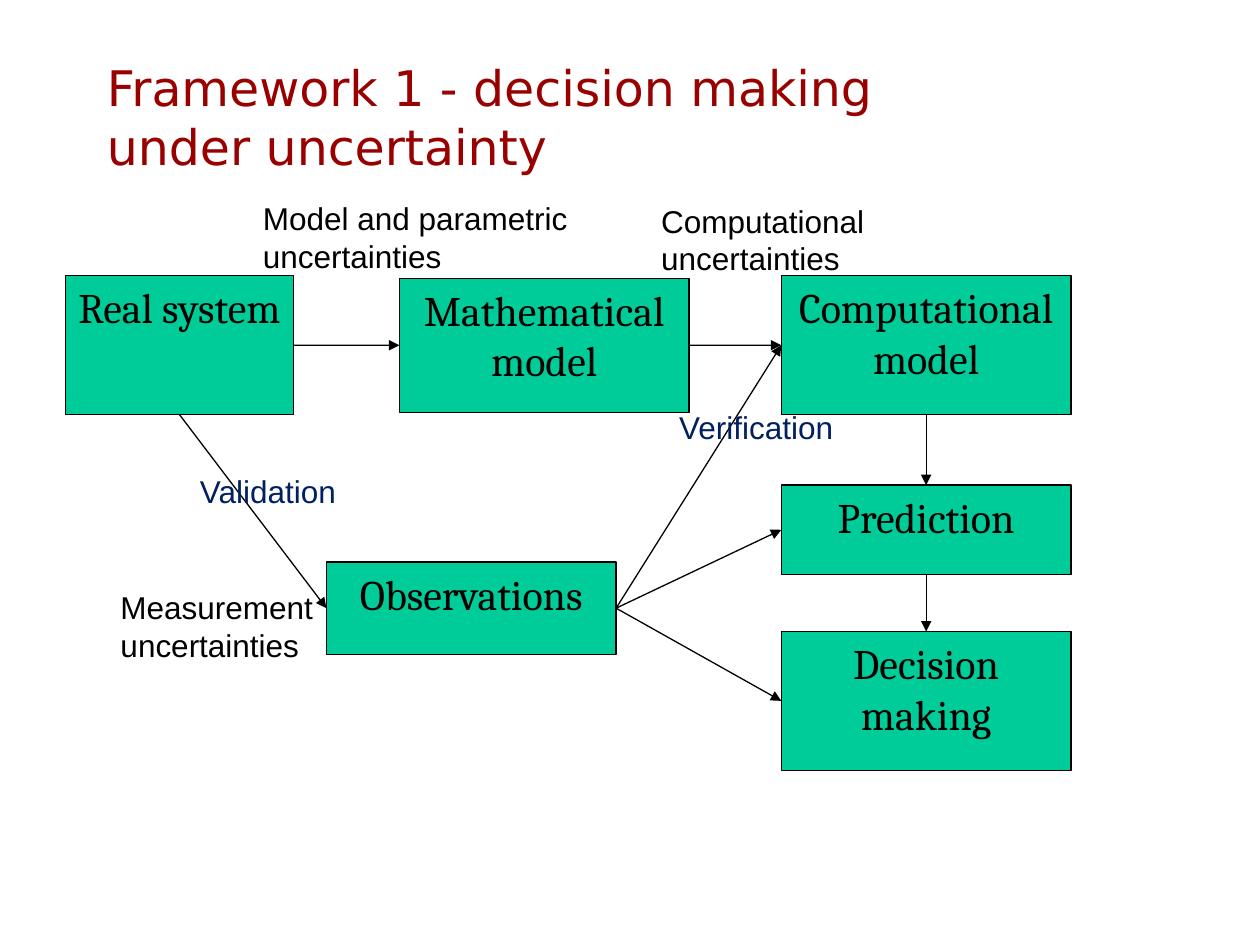
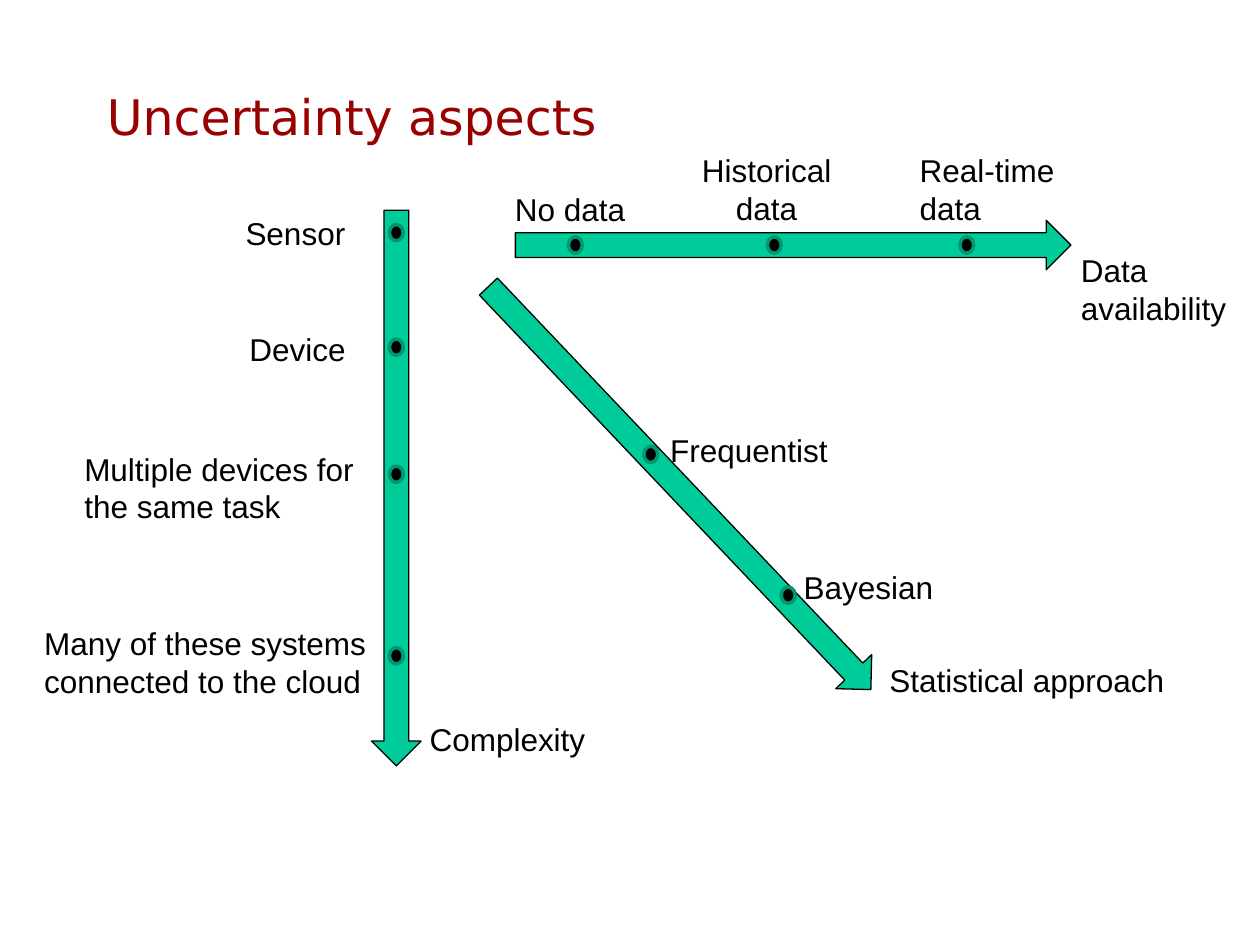
from dataclasses import dataclass

from lxml import etree
from pptx import Presentation
from pptx.dml.color import RGBColor
from pptx.enum import shapes, text
from pptx.oxml import ns
from pptx.util import Cm, Pt


@dataclass(frozen=True)
class Theme:
    title_color: RGBColor = RGBColor(0x99, 0x00, 0x00)
    ink: RGBColor = RGBColor(0x00, 0x00, 0x00)
    check: RGBColor = RGBColor(0x00, 0x20, 0x60)
    green: RGBColor = RGBColor(0x00, 0xCC, 0x99)
    dark_green: RGBColor = RGBColor(0x00, 0x97, 0x71)
    title_font: str = "DejaVu Sans"
    box_font: str = "Cambria"
    label_font: str = "Arial"
    title_size: Pt = Pt(28)
    box_size: Pt = Pt(24)
    label_size: Pt = Pt(18)
    thin: Pt = Pt(0.75)
    ring: Pt = Pt(2)


theme = Theme()


def write(frame, lines, font, size, color, align):
    """Fill a text frame, one paragraph for each line."""
    frame.word_wrap = True
    for number, line in enumerate(lines):
        paragraph = frame.paragraphs[0] if number == 0 else frame.add_paragraph()
        paragraph.alignment = align
        run = paragraph.add_run()
        run.text = line
        run.font.name = font
        run.font.size = size
        run.font.color.rgb = color


def draw(slide, kind, left, top, width, height, fill, line, weight):
    """Add a flat preset shape; lengths in centimetres."""
    shape = slide.shapes.add_shape(kind, Cm(left), Cm(top), Cm(width), Cm(height))
    shape.shadow.inherit = False
    shape.fill.solid()
    shape.fill.fore_color.rgb = fill
    shape.line.color.rgb = line
    shape.line.width = weight
    return shape


prs = Presentation()
prs.slide_width, prs.slide_height = Cm(25.4), Cm(19.05)
LEFT, CENTER = text.PP_ALIGN.LEFT, text.PP_ALIGN.CENTER

# Slides and titles
slides = []
for heading in ("Framework 1 - decision making under uncertainty", "Uncertainty aspects"):
    slide = prs.slides.add_slide(prs.slide_layouts[5])
    title = slide.shapes.title
    title.left, title.top, title.width, title.height = Cm(1.9), Cm(1.07), Cm(18.2), Cm(2.54)
    title.text_frame.vertical_anchor = text.MSO_ANCHOR.MIDDLE
    write(title.text_frame, [heading], theme.title_font, theme.title_size,
          theme.title_color, LEFT)
    slides.append(slide)
framework, aspects = slides

# Framework: process boxes
stages = {}
for stage, left, top, width, height in (
    ("Real system", 1.32, 5.56, 4.6, 2.8),
    ("Mathematical model", 8.05, 5.61, 5.84, 2.7),
    ("Computational model", 15.75, 5.56, 5.84, 2.8),
    ("Prediction", 15.75, 9.78, 5.84, 1.8),
    ("Decision making", 15.75, 12.73, 5.84, 2.8),
    ("Observations", 6.58, 11.33, 5.84, 1.86),
):
    box = draw(framework, shapes.MSO_SHAPE.FLOWCHART_PROCESS, left, top, width, height,
               theme.green, theme.ink, theme.thin)
    box.text_frame.vertical_anchor = text.MSO_ANCHOR.TOP
    box.text_frame.margin_left = box.text_frame.margin_right = Cm(0.2)
    write(box.text_frame, [stage], theme.box_font, theme.box_size, theme.ink, CENTER)
    stages[stage] = box

# Framework: arrows between box sides
TOP, WEST, BOTTOM, EAST = range(4)
for source, source_side, target, target_side in (
    ("Real system", EAST, "Mathematical model", WEST),
    ("Mathematical model", EAST, "Computational model", WEST),
    ("Computational model", BOTTOM, "Prediction", TOP),
    ("Prediction", BOTTOM, "Decision making", TOP),
    ("Real system", BOTTOM, "Observations", WEST),
    ("Observations", EAST, "Computational model", WEST),
    ("Observations", EAST, "Prediction", WEST),
    ("Observations", EAST, "Decision making", WEST),
):
    arrow = framework.shapes.add_connector(shapes.MSO_CONNECTOR.STRAIGHT, 0, 0, 0, 0)
    arrow.begin_connect(stages[source], source_side)
    arrow.end_connect(stages[target], target_side)
    arrow.line.color.rgb = theme.ink
    arrow.line.width = theme.thin
    etree.SubElement(arrow.line._get_or_add_ln(), ns.qn("a:tailEnd"), type="triangle")
    etree.SubElement(arrow._element.spPr, ns.qn("a:effectLst"))

# Aspects: one block arrow per axis, with dots at its levels
ARROW_WIDTH, ARROW_LENGTH = 1, 11.2
DOT_WIDTH, DOT_HEIGHT = 0.28, 0.33
complexity_x, data_y = 7.99, 4.94
for center_x, center_y, rotation, levels in (
    (complexity_x, 9.84, 0, [(complexity_x, y) for y in (4.69, 7, 9.56, 13.22)]),
    (15.99, data_y, 270, [(x, data_y) for x in (11.6, 15.61, 19.49)]),
    (13.7, 9.84, 316.5, [(13.12, 9.16), (15.89, 12)]),
):
    axis = draw(aspects, shapes.MSO_SHAPE.DOWN_ARROW, center_x - ARROW_WIDTH / 2,
                center_y - ARROW_LENGTH / 2, ARROW_WIDTH, ARROW_LENGTH,
                theme.green, theme.ink, theme.thin)
    axis.rotation = rotation
    for x, y in levels:
        draw(aspects, shapes.MSO_SHAPE.OVAL, x - DOT_WIDTH / 2, y - DOT_HEIGHT / 2,
             DOT_WIDTH, DOT_HEIGHT, theme.ink, theme.dark_green, theme.ring)

# Labels of both slides: lines, left, top, width, height, colour, alignment
ONE_LINE, TWO_LINES = 1.02, 1.8
for slide, lines, left, top, width, height, color, align in (
    (framework, ["Measurement", "uncertainties"], 2.18, 11.73, 4.7, TWO_LINES, theme.ink, LEFT),
    (framework, ["Model and parametric", "uncertainties"], 5.05, 3.89, 7.2, TWO_LINES,
     theme.ink, LEFT),
    (framework, ["Computational", "uncertainties"], 13.08, 3.94, 5, TWO_LINES, theme.ink, LEFT),
    (framework, ["Validation"], 3.78, 9.4, 3.6, ONE_LINE, theme.check, LEFT),
    (framework, ["Verification"], 13.44, 8.1, 4, ONE_LINE, theme.check, LEFT),
    (aspects, ["Sensor"], 4.7, 4.19, 2.8, ONE_LINE, theme.ink, LEFT),
    (aspects, ["Device"], 4.78, 6.53, 2.8, ONE_LINE, theme.ink, LEFT),
    (aspects, ["Multiple devices for the same task"], 1.45, 8.94, 6.05, TWO_LINES,
     theme.ink, LEFT),
    (aspects, ["Many of these systems", "connected to the cloud"], 0.64, 12.45, 7.2, TWO_LINES,
     theme.ink, LEFT),
    (aspects, ["Complexity"], 8.41, 14.4, 4, ONE_LINE, theme.ink, LEFT),
    (aspects, ["No data"], 10.13, 3.71, 3.1, ONE_LINE, theme.ink, LEFT),
    (aspects, ["Historical data"], 13.79, 2.92, 3.33, TWO_LINES, theme.ink, CENTER),
    (aspects, ["Real-time", "data"], 18.29, 2.92, 3.5, TWO_LINES, theme.ink, LEFT),
    (aspects, ["Data", "availability"], 21.54, 4.93, 3.7, TWO_LINES, theme.ink, LEFT),
    (aspects, ["Frequentist"], 13.26, 8.56, 4.2, ONE_LINE, theme.ink, LEFT),
    (aspects, ["Bayesian"], 15.95, 11.33, 3.5, ONE_LINE, theme.ink, LEFT),
    (aspects, ["Statistical approach"], 17.68, 13.21, 6.4, ONE_LINE, theme.ink, LEFT),
):
    label = slide.shapes.add_textbox(Cm(left), Cm(top), Cm(width), Cm(height))
    write(label.text_frame, lines, theme.label_font, theme.label_size, color, align)

prs.save("out.pptx")
